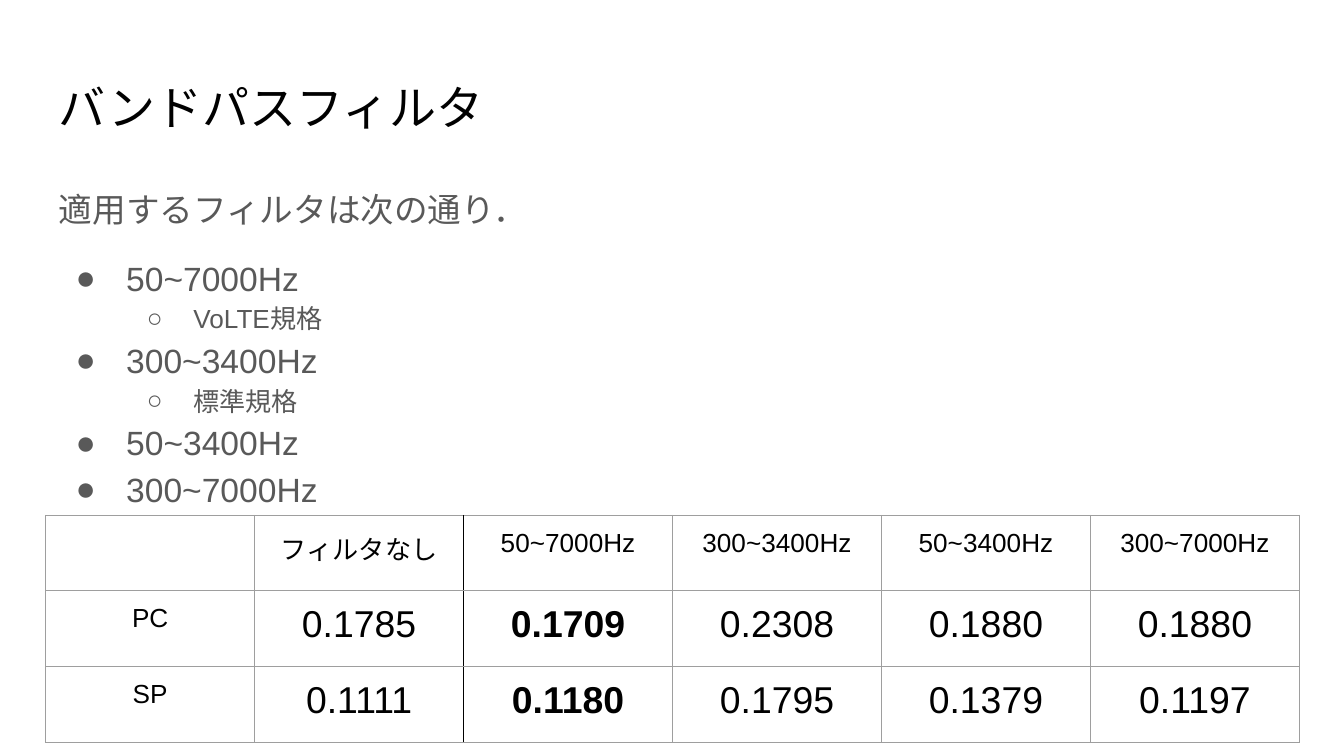
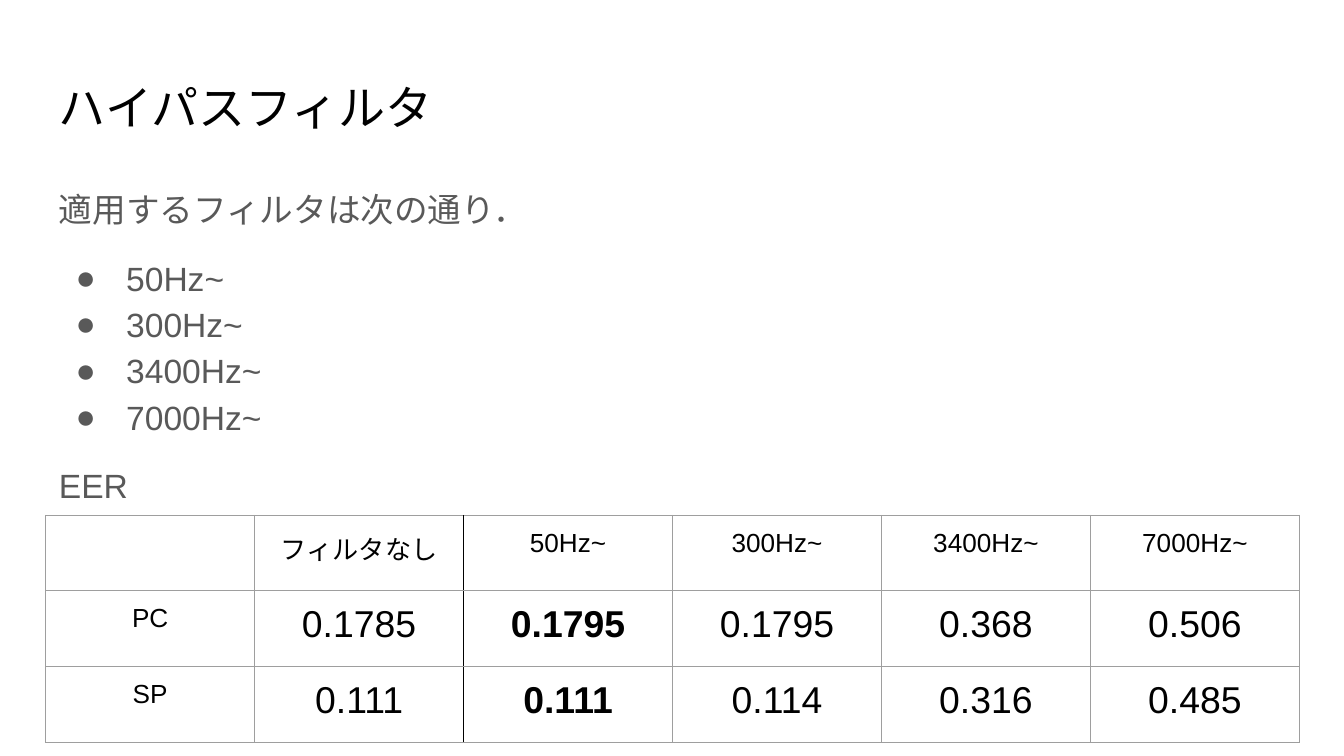
import pptx
import pptx.dml.color
import pptx.enum.text
import pptx.oxml.ns
import pptx.util
from lxml import etree

PX = 4572
INSET = 20
FONT = "Arial"
COLORS = {"ink": "000000", "body": "595959", "grid": "9E9E9E", "paper": "FFFFFF"}
BULLETS = [
    {"char": "●", "margin": 100, "indent": -75, "size": 18},
    {"char": "○", "margin": 200, "indent": -69, "size": 14},
]
HEADING, LABEL, VALUE = 25.2, 14, 20
INTRO = "適用するフィルタは次の通り．"
LEFT, WIDTH = 68, 1864
ROW_HEIGHTS = [112, 113, 113]
COLUMN_WIDTH = 311
BEST_COLUMN = 2

SLIDES = [
    {
        "title": "バンドパスフィルタ",
        "filters": [
            (0, "50~7000Hz"), (1, "VoLTE規格"), (0, "300~3400Hz"),
            (1, "標準規格"), (0, "50~3400Hz"), (0, "300~7000Hz"),
        ],
        "closing": None,
        "values": {
            "PC": ["0.1785", "0.1709", "0.2308", "0.1880", "0.1880"],
            "SP": ["0.1111", "0.1180", "0.1795", "0.1379", "0.1197"],
        },
    },
    {
        "title": "ハイパスフィルタ",
        "filters": [(0, "50Hz~"), (0, "300Hz~"), (0, "3400Hz~"), (0, "7000Hz~")],
        "closing": "EER",
        "values": {
            "PC": ["0.1785", "0.1795", "0.1795", "0.368", "0.506"],
            "SP": ["0.111", "0.111", "0.114", "0.316", "0.485"],
        },
    },
]


def px(length):
    """Turn whole px into EMU."""
    return pptx.util.Emu(length * PX)


def rgb(name):
    """Look up a named colour."""
    return pptx.dml.color.RGBColor.from_string(COLORS[name])


def add_xml(parent, tag, **attributes):
    """Append a DrawingML element and return it."""
    return etree.SubElement(parent, pptx.oxml.ns.qn(tag), attributes)


class FilterDeck:
    """Hold the deck style and the current page."""

    def __init__(self):
        """Start an empty widescreen deck."""
        self.deck = pptx.Presentation()
        self.deck.slide_width = px(2000)
        self.deck.slide_height = px(1125)
        self.page = None

    def add_page(self):
        """Open a new blank page."""
        self.page = self.deck.slides.add_slide(self.deck.slide_layouts[6])
        self.page.background.fill.solid()
        self.page.background.fill.fore_color.rgb = rgb("paper")

    def set_margins(self, holder):
        """Give a text frame or cell the common inset."""
        for side in ("left", "top", "right", "bottom"):
            setattr(holder, f"margin_{side}", px(INSET))

    def add_span(self, para, text, size, color, bold=False):
        """Add one styled run and return it."""
        span = para.add_run()
        span.text = text
        span.font.name = FONT
        span.font.size = pptx.util.Pt(size)
        span.font.bold = bold
        span.font.color.rgb = rgb(color)
        return span

    def add_prose(self, para, text, size, color):
        """Add one run with the East Asian font set as well."""
        span = self.add_span(para, text, size, color)
        add_xml(span.font._element, "a:ea", typeface=FONT)

    def add_box(self, top, height):
        """Add a wrapped text box and return its frame."""
        box = self.page.shapes.add_textbox(px(LEFT), px(top), px(WIDTH), px(height))
        frame = box.text_frame
        frame.word_wrap = True
        self.set_margins(frame)
        return frame

    def add_title(self, text):
        """Add the page title."""
        frame = self.add_box(97, 125)
        self.add_prose(frame.paragraphs[0], text, HEADING, "ink")

    def set_bullet(self, para, level):
        """Give a paragraph the bullet of its level."""
        bullet = BULLETS[level]
        para.level = level
        properties = para._p.get_or_add_pPr()
        properties.set("marL", str(px(bullet["margin"])))
        properties.set("indent", str(px(bullet["indent"])))
        color = add_xml(properties, "a:buClr")
        add_xml(color, "a:srgbClr", val=COLORS["body"])
        add_xml(properties, "a:buFont", typeface=FONT)
        add_xml(properties, "a:buChar", char=bullet["char"])

    def add_body(self, filters, closing):
        """Add the intro, the filter list and an optional closing line."""
        frame = self.add_box(252, 747)
        lines = [(None, INTRO), *filters]
        if closing:
            lines.append((None, closing))
        previous = None
        for number, (level, text) in enumerate(lines):
            para = frame.add_paragraph() if number else frame.paragraphs[0]
            if level is not None:
                self.set_bullet(para, level)
            para.line_spacing = 1.15
            if number and (level is None) != (previous is None):
                para.space_before = pptx.util.Pt(12)
            if number and level is None:
                para.space_after = pptx.util.Pt(12)
            self.add_prose(para, text, BULLETS[level or 0]["size"], "body")
            previous = level

    def set_borders(self, cell, column):
        """Draw the grid, with a dark rule left of the best column."""
        properties = cell._tc.get_or_add_tcPr()
        dark = {BEST_COLUMN - 1: "a:lnR", BEST_COLUMN: "a:lnL"}.get(column)
        for tag in ("a:lnL", "a:lnR", "a:lnT", "a:lnB"):
            line = add_xml(properties, tag, w=str(pptx.util.Pt(0.75)))
            fill = add_xml(line, "a:solidFill")
            add_xml(fill, "a:srgbClr", val=COLORS["ink" if tag == dark else "grid"])

    def add_results(self, heads, values):
        """Add the table of error rates."""
        rows = [["", *heads], *([name, *rates] for name, rates in values.items())]
        count = len(rows[0])
        table = self.page.shapes.add_table(
            len(rows), count, px(LEFT), px(767),
            px(COLUMN_WIDTH * count), px(sum(ROW_HEIGHTS)),
        ).table
        table.first_row = table.horz_banding = False
        for column in table.columns:
            column.width = px(COLUMN_WIDTH)
        for row, texts in enumerate(rows):
            table.rows[row].height = px(ROW_HEIGHTS[row])
            for column, text in enumerate(texts):
                cell = table.cell(row, column)
                self.set_margins(cell)
                self.set_borders(cell, column)
                cell.fill.background()
                if text:
                    is_value = row > 0 and column > 0
                    para = cell.text_frame.paragraphs[0]
                    para.alignment = pptx.enum.text.PP_ALIGN.CENTER
                    self.add_span(para, text, VALUE if is_value else LABEL, "ink",
                                  is_value and column == BEST_COLUMN)


def main():
    """Build both filter pages and save the deck."""
    style = FilterDeck()
    for slide in SLIDES:
        style.add_page()
        style.add_title(slide["title"])
        style.add_body(slide["filters"], slide["closing"])
        bands = [text for level, text in slide["filters"] if level == 0]
        style.add_results(["フィルタなし", *bands], slide["values"])
    style.deck.save("out.pptx")


if __name__ == "__main__":
    main()
